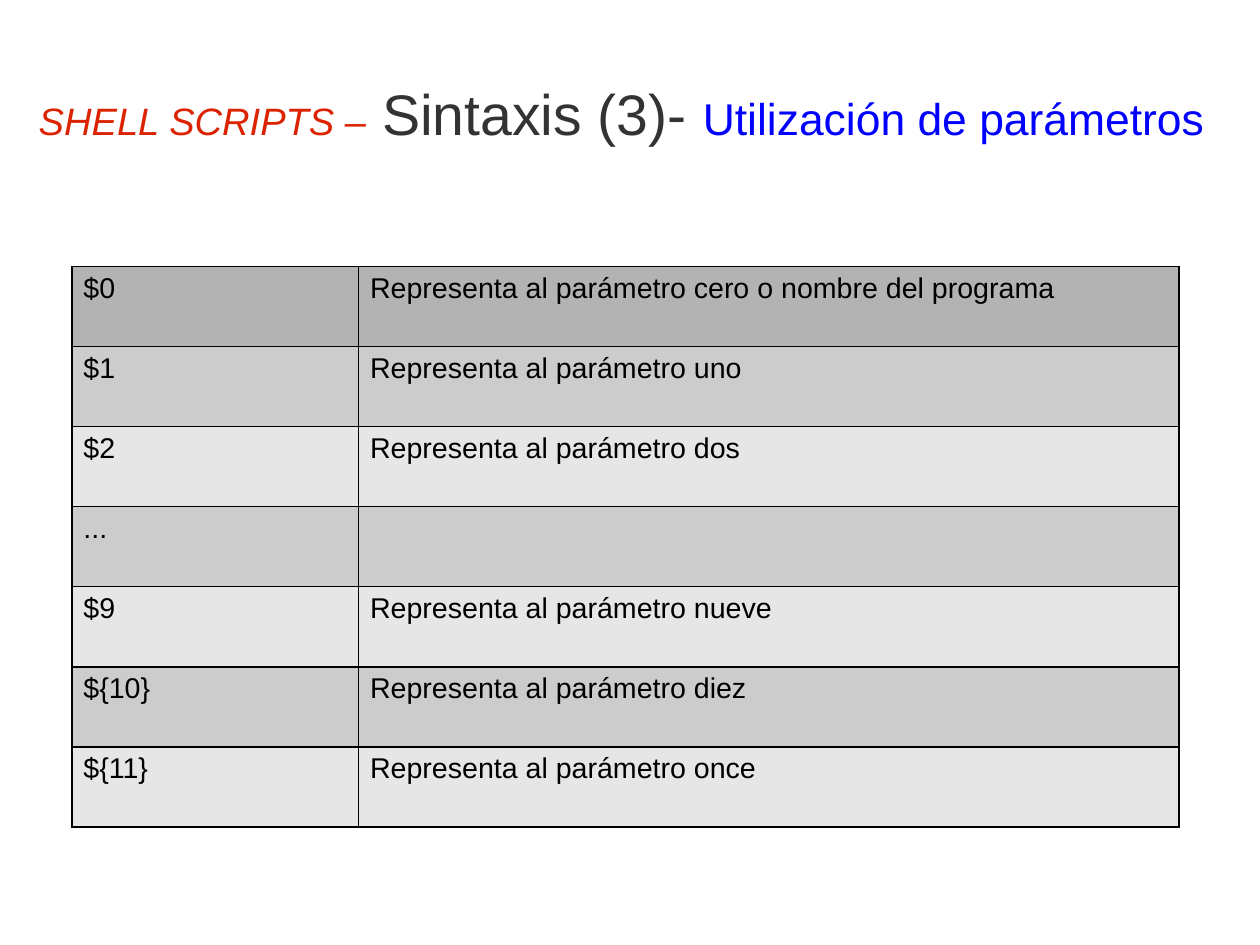
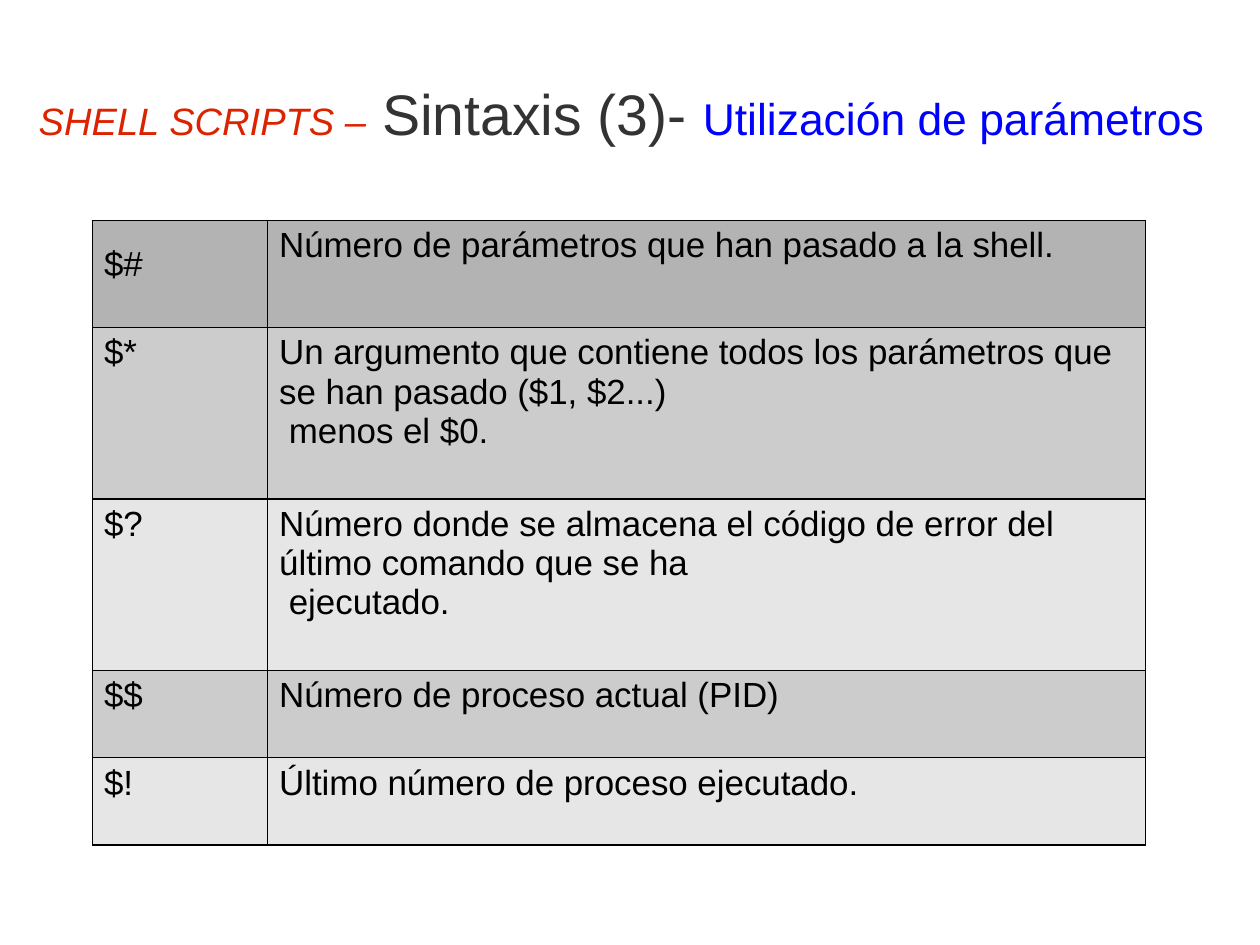
from pptx import Presentation
from pptx.dml.color import RGBColor as RGB
from pptx.enum.text import MSO_ANCHOR as Anchor, MSO_AUTO_SIZE as Fit, PP_ALIGN as Align
from pptx.util import Cm, Pt

FONT = "Arial"
RED = RGB(0xDC, 0x23, 0x00)
DARK = RGB(0x33, 0x33, 0x33)
BLUE = RGB(0x00, 0x00, 0xFF)
BLACK = RGB(0x00, 0x00, 0x00)
HEAD = RGB(0xB3, 0xB3, 0xB3)
BANDS = RGB(0xE6, 0xE6, 0xE6), RGB(0xCC, 0xCC, 0xCC)

TITLE = [
    ("SHELL SCRIPTS –", 24, RED, True),
    (" Sintaxis (3)- ", 36, DARK, False),
    ("Utilización de parámetros", 28, BLUE, False),
]

# Each row holds its height, its symbol and the lines of its meaning.
SLIDES = [
    {
        "left": 1.6, "top": 5.92, "cols": (6.37, 18.23), "size": 18, "drop": 0,
        "rows": [
            (1.78, "$0", ["Representa al parámetro cero o nombre del programa"]),
            (1.78, "$1", ["Representa al parámetro uno"]),
            (1.78, "$2", ["Representa al parámetro dos"]),
            (1.78, "...", []),
            (1.78, "$9", ["Representa al parámetro nueve"]),
            (1.78, "${10}", ["Representa al parámetro diez"]),
            (1.78, "${11}", ["Representa al parámetro once"]),
        ],
    },
    {
        "left": 2.06, "top": 4.9, "cols": (3.89, 19.5), "size": 22, "drop": 0.42,
        "rows": [
            (2.38, "$#", ["Número de parámetros que han pasado a la shell."]),
            (3.81, "$*", ["Un argumento que contiene todos los parámetros que "
                          "se han pasado ($1, $2...)", " menos el $0."]),
            (3.81, "$?", ["Número donde se almacena el código de error del "
                          "último comando que se ha", " ejecutado."]),
            (1.94, "$$", ["Número de proceso actual (PID)"]),
            (1.94, "$!", ["Último número de proceso ejecutado."]),
        ],
    },
]


def add_run(para, text, size, color, italic=False):
    run = para.add_run()
    run.text = text
    font = run.font
    font.name, font.size, font.italic = FONT, Pt(size), italic
    font.color.rgb = color


def add_title(slide):
    title = slide.shapes.title
    title.left, title.top = Cm(0.61), Cm(1.6)
    title.width, title.height = Cm(26.39), Cm(1.8)
    frame = title.text_frame
    frame.margin_left = frame.margin_right = 0
    frame.margin_top = frame.margin_bottom = 0
    frame.vertical_anchor = Anchor.MIDDLE
    frame.word_wrap = True
    frame.auto_size = Fit.NONE
    para = frame.paragraphs[0]
    para.alignment = Align.CENTER
    for part in TITLE:
        add_run(para, *part)


def fill_cell(cell, lines, size, color):
    cell.fill.solid()
    cell.fill.fore_color.rgb = color
    frame = cell.text_frame
    for i, line in enumerate(lines):
        para = frame.add_paragraph() if i else frame.paragraphs[0]
        add_run(para, line, size, BLACK)


def add_grid(slide, data):
    rows, cols = data["rows"], data["cols"]
    high = sum(row[0] for row in rows)
    table = slide.shapes.add_table(
        len(rows), len(cols), Cm(data["left"]), Cm(data["top"]),
        Cm(sum(cols)), Cm(high)).table
    table.first_row = table.horz_banding = False
    props = table._tbl.tblPr
    for style in list(props):
        props.remove(style)
    for col, width in zip(table.columns, cols):
        col.width = Cm(width)
    for i, (height, sign, lines) in enumerate(rows):
        table.rows[i].height = Cm(height)
        color = BANDS[i % 2] if i else HEAD
        for j, texts in enumerate(([sign], lines)):
            fill_cell(table.cell(i, j), texts, data["size"], color)
    table.cell(0, 0).margin_top = Cm(0.13 + data["drop"])


def main():
    deck = Presentation()
    deck.slide_width, deck.slide_height = Cm(28), Cm(21)
    for data in SLIDES:
        slide = deck.slides.add_slide(deck.slide_layouts[5])
        add_title(slide)
        add_grid(slide, data)
    deck.save("out.pptx")


if __name__ == "__main__":
    main()
